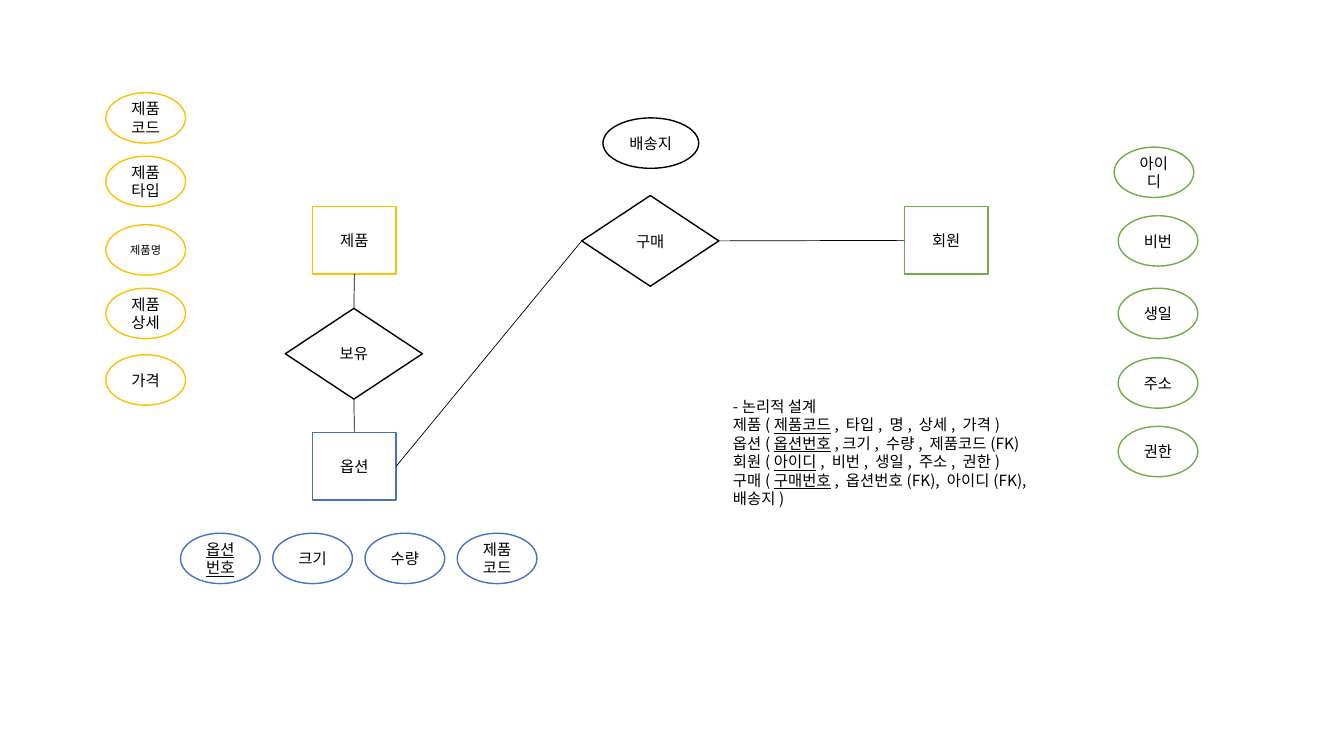
from dataclasses import dataclass

from lxml import etree
from pptx import Presentation
from pptx.dml.color import RGBColor
from pptx.enum.shapes import MSO_CONNECTOR, MSO_SHAPE
from pptx.enum.text import MSO_ANCHOR, MSO_AUTO_SIZE, PP_ALIGN
from pptx.oxml.ns import qn
from pptx.util import Inches, Pt

ELLIPSE, DIAMOND, RECTANGLE = MSO_SHAPE.OVAL, MSO_SHAPE.DIAMOND, MSO_SHAPE.RECTANGLE
STRAIGHT = MSO_CONNECTOR.STRAIGHT
MIDDLE, CENTER = MSO_ANCHOR.MIDDLE, PP_ALIGN.CENTER
GROW = MSO_AUTO_SIZE.SHAPE_TO_FIT_TEXT
TOP, LEFT, BOTTOM, RIGHT = range(4)  # connection sites


@dataclass(frozen=True)
class Theme:
    font: str = "Noto Sans CJK KR"
    size: float = 11
    small: float = 8
    outline: float = 1
    link: float = 0.5
    black: RGBColor = RGBColor(0, 0, 0)
    white: RGBColor = RGBColor(255, 255, 255)
    product: RGBColor = RGBColor(0xFF, 0xC0, 0x00)
    option: RGBColor = RGBColor(0x44, 0x72, 0xC4)
    member: RGBColor = RGBColor(0x70, 0xAD, 0x47)


THEME = Theme()


@dataclass(frozen=True)
class Node:
    text: str
    left: float
    top: float
    color: RGBColor
    kind: MSO_SHAPE = ELLIPSE
    width: float = 0.79
    height: float = 0.5
    size: float = THEME.size
    underline: bool = False


@dataclass(frozen=True)
class Relation:
    name: str
    key: str
    rest: str


def entity(text: str, left: float, top: float, color: RGBColor) -> Node:
    return Node(text, left, top, color, RECTANGLE, 0.83, 0.67)


def relationship(text: str, left: float, top: float) -> Node:
    return Node(text, left, top, THEME.black, DIAMOND, 1.36, 0.9)


def style_paragraph(para, size: float = THEME.size) -> None:
    para.font.name = THEME.font
    para.font.size = Pt(size)
    para.font.color.rgb = THEME.black
    defaults = para._p.pPr.find(qn("a:defRPr"))
    latin = defaults.find(qn("a:latin"))
    east_asian = etree.Element(qn("a:ea"), typeface=THEME.font)
    latin.addnext(east_asian)


def draw_node(page, node: Node):
    shape = page.shapes.add_shape(node.kind, Inches(node.left), Inches(node.top),
                                  Inches(node.width), Inches(node.height))
    shape.shadow.inherit = False
    shape.fill.solid()
    shape.fill.fore_color.rgb = THEME.white
    shape.line.color.rgb = node.color
    shape.line.width = Pt(THEME.outline)
    frame = shape.text_frame
    frame.word_wrap = True
    frame.vertical_anchor = MIDDLE
    para = frame.paragraphs[0]
    para.alignment = CENTER
    style_paragraph(para, node.size)
    span = para.add_run()
    span.text = node.text
    if node.underline:
        span.font.underline = True
    return shape


def draw_link(page, start, start_site: int, end, end_site: int) -> None:
    link = page.shapes.add_connector(STRAIGHT, 0, 0, 0, 0)
    link.begin_connect(start, start_site)
    link.end_connect(end, end_site)
    link.line.color.rgb = THEME.black
    link.line.width = Pt(THEME.link)
    etree.SubElement(link._element.spPr, qn("a:effectLst"))


def draw_design(page, title: str, relations: list[Relation]) -> None:
    box = page.shapes.add_textbox(Inches(7.17), Inches(3.89), Inches(3.42), Inches(1.03))
    frame = box.text_frame
    frame.word_wrap = True
    frame.auto_size = GROW
    heading = frame.paragraphs[0]
    style_paragraph(heading)
    heading.add_run().text = title
    for relation in relations:
        para = frame.add_paragraph()
        style_paragraph(para)
        para.add_run().text = f"{relation.name}("
        key = para.add_run()
        key.text = relation.key
        key.font.underline = True
        para.add_run().text = relation.rest


deck = Presentation()
deck.slide_width, deck.slide_height = Inches(13.33), Inches(7.5)
page = deck.slides.add_slide(deck.slide_layouts[6])

# Entities and relationships
product = draw_node(page, entity("제품", 3.1, 2.05, THEME.product))
option = draw_node(page, entity("옵션", 3.1, 4.29, THEME.option))
member = draw_node(page, entity("회원", 8.97, 2.05, THEME.member))
owns = draw_node(page, relationship("보유", 2.83, 3.06))
buys = draw_node(page, relationship("구매", 5.77, 1.94))

# Links
for ends in [(buys, RIGHT, member, LEFT), (product, BOTTOM, owns, TOP),
             (owns, BOTTOM, option, TOP), (option, RIGHT, buys, LEFT)]:
    draw_link(page, *ends)

# Attributes
product_attributes = [("제품코드", 0.92), ("제품타입", 1.55), ("제품명", 2.23),
                      ("제품상세", 2.86), ("가격", 3.52)]
member_attributes = [("아이디", 11.05, 1.46), ("비번", 11.09, 2.14), ("생일", 11.09, 2.86),
                     ("주소", 11.09, 3.55), ("권한", 11.09, 4.23)]
option_attributes = ["옵션번호", "크기", "수량", "제품코드"]

attributes = [Node(text, 1.05, top, THEME.product,
                   size=THEME.small if text == "제품명" else THEME.size)
              for text, top in product_attributes]
attributes += [Node(text, left, top, THEME.member) for text, left, top in member_attributes]
attributes += [Node(text, 1.79 + 0.915 * column, 5.29, THEME.option,
                    underline=text == "옵션번호")
               for column, text in enumerate(option_attributes)]
attributes.append(Node("배송지", 5.98, 1.17, THEME.black, width=0.95))
for attribute in attributes:
    draw_node(page, attribute)

# Logical design
draw_design(page, "-논리적 설계", [
    Relation("제품", "제품코드", ", 타입, 명, 상세, 가격)"),
    Relation("옵션", "옵션번호", ",크기, 수량, 제품코드(FK)"),
    Relation("회원", "아이디", ", 비번, 생일, 주소, 권한)"),
    Relation("구매", "구매번호", ", 옵션번호(FK), 아이디(FK),배송지)"),
])

deck.save("out.pptx")
